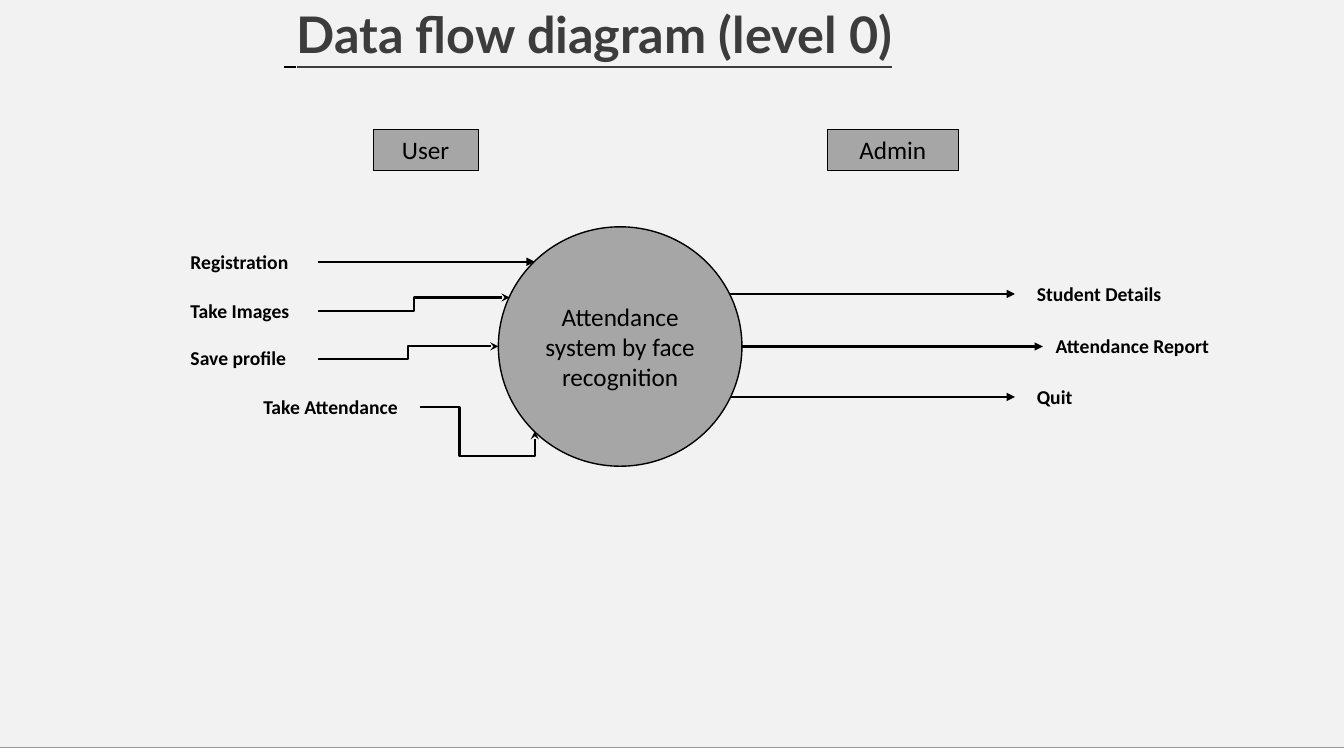
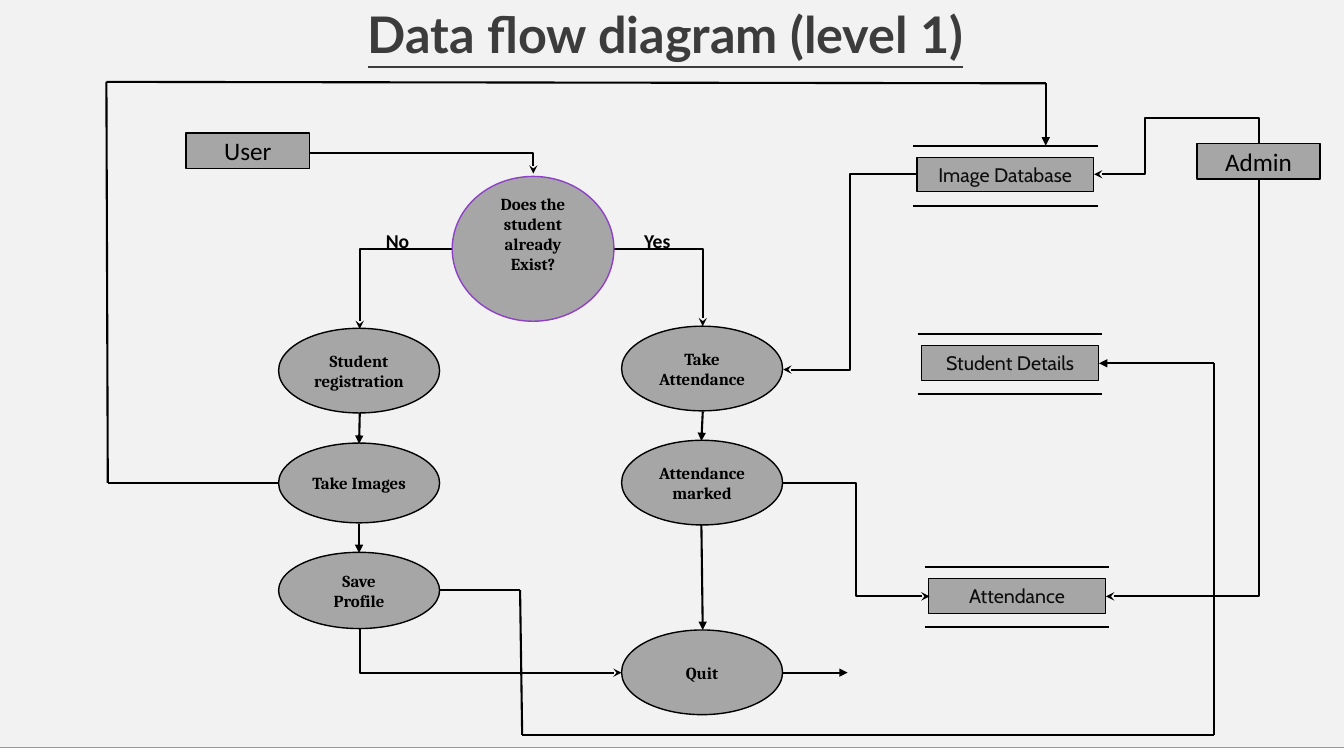
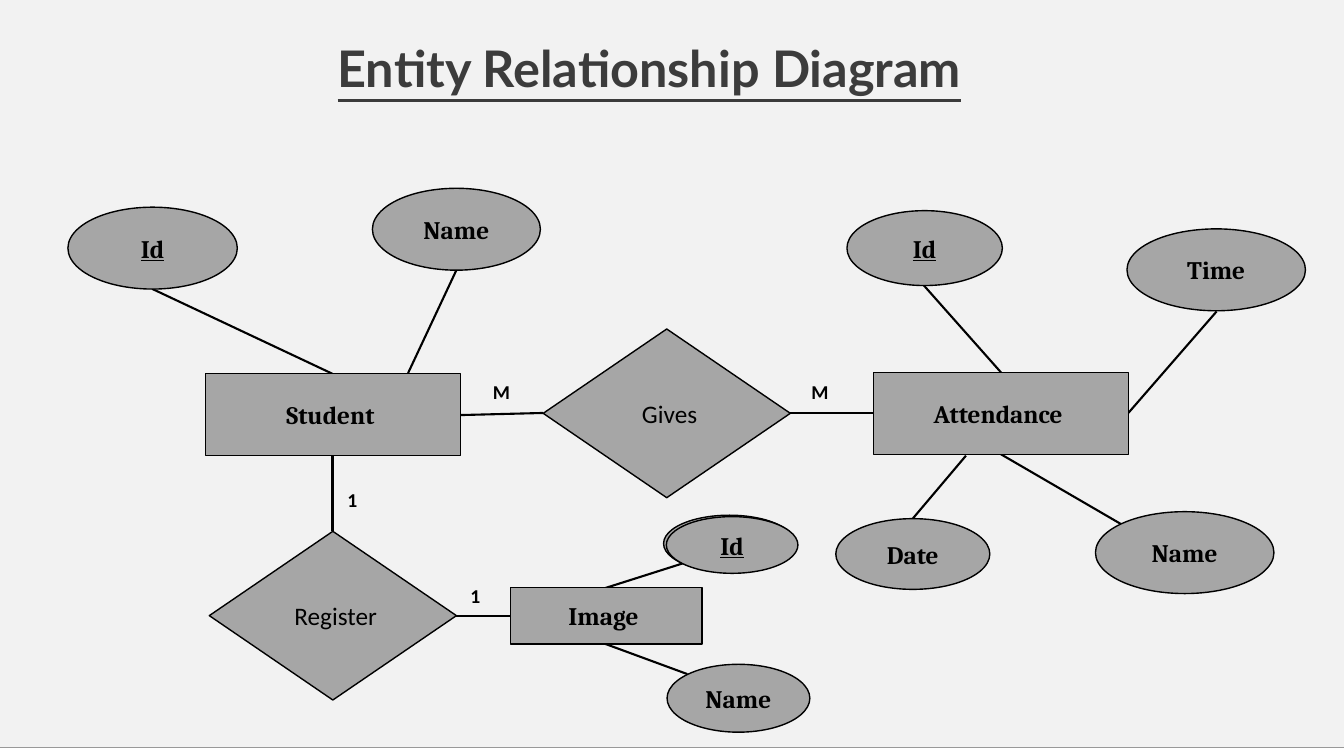
"""Build three slides of data flow and entity relationship diagrams."""
from itertools import pairwise

from lxml import etree
from pptx import Presentation
from pptx.dml.color import RGBColor
from pptx.enum.shapes import MSO_CONNECTOR, MSO_SHAPE
from pptx.enum.text import MSO_ANCHOR, PP_ALIGN
from pptx.oxml.ns import qn
from pptx.util import Pt

RECT, OVAL, DIAMOND = MSO_SHAPE.RECTANGLE, MSO_SHAPE.OVAL, MSO_SHAPE.DIAMOND
STRAIGHT, ELBOW = MSO_CONNECTOR.STRAIGHT, MSO_CONNECTOR.ELBOW
LEFT, CENTER = PP_ALIGN.LEFT, PP_ALIGN.CENTER
TOP, MIDDLE = MSO_ANCHOR.TOP, MSO_ANCHOR.MIDDLE

COLORS = {
    "page": "F2F2F2",
    "band": "FFFFFF",
    "rule": "999999",
    "title": "3C3C3C",
    "node": "A6A6A6",
    "ink": "000000",
    "soft": "0D0D0D",
    "accent": "8E40C8",
}
STYLES = {
    "title": {"name": "Lato", "size": Pt(36), "bold": True, "underline": True},
    "label": {"name": "Calibri", "size": Pt(14), "bold": True},
    "plain": {"name": "Calibri", "size": Pt(18)},
    "store": {"name": "Cabin", "size": Pt(14)},
    "step": {"name": "Cambria", "size": Pt(12), "bold": True},
    "entity": {"name": "Cambria", "size": Pt(18), "bold": True},
    "key": {"name": "Cambria", "size": Pt(18), "bold": True, "underline": True},
}


def color(name):
    return RGBColor.from_string(COLORS[name])


def points(*values):
    return [Pt(value) for value in values]


def add_span(para, text, style, ink="ink"):
    span = para.add_run()
    span.text = text
    for field, value in STYLES[style].items():
        setattr(span.font, field, value)
    span.font.color.rgb = color(ink)


def write(box, text, style, ink="ink", align=CENTER, anchor=MIDDLE):
    frame = box.text_frame
    frame.word_wrap = True
    frame.vertical_anchor = anchor
    for index, line in enumerate(text.split("\n")):
        para = frame.add_paragraph() if index else frame.paragraphs[0]
        para.alignment = align
        add_span(para, line, style, ink)


def add_node(page, kind, place, text="", style="plain", ink="ink", outline="ink", width=1):
    node = page.shapes.add_shape(kind, *points(*place))
    node.shadow.inherit = False
    node.fill.solid()
    node.fill.fore_color.rgb = color("node")
    node.line.color.rgb = color(outline)
    node.line.width = Pt(width)
    if text:
        write(node, text, style, ink)
    return node


def add_label(page, text, left, top, width=130):
    box = page.shapes.add_textbox(*points(left, top, width, 24))
    write(box, text, "label", align=LEFT, anchor=TOP)


def add_title(page, text, left, top, width, align=LEFT, lead=""):
    box = page.shapes.add_textbox(*points(left, top, width, 51))
    box.text_frame.word_wrap = True
    para = box.text_frame.paragraphs[0]
    para.alignment = align
    if lead:
        add_span(para, lead, "title")
    add_span(para, text, "title", "title")


def add_line(page, start, end, arrow=None, kind=STRAIGHT, ink="ink", width=1.5):
    line = page.shapes.add_connector(kind, *points(*start, *end))
    line.line.color.rgb = color(ink)
    line.line.width = Pt(width)
    if arrow:
        place, head = arrow
        etree.SubElement(line.line._get_or_add_ln(), qn(f"a:{place}"), type=head)
    properties = line._element.spPr
    etree.SubElement(properties, qn("a:effectLst"))
    return line


def add_arrow(page, start, end):
    add_line(page, start, end, ("tailEnd", "triangle"))


def add_route(page, *stops):
    *legs, last = pairwise(stops)
    for start, end in legs:
        add_line(page, start, end)
    add_arrow(page, *last)


def add_elbow(page, start, end, bends=3, adjust=(), place="tailEnd"):
    line = add_line(page, start, end, (place, "stealth"), ELBOW)
    geometry = line._element.spPr.find(qn("a:prstGeom"))
    geometry.set("prst", f"bentConnector{bends}")
    guides = geometry.find(qn("a:avLst"))
    for number, share in enumerate(adjust, 1):
        formula = f"val {round(share * 100000)}"
        etree.SubElement(guides, qn("a:gd"), name=f"adj{number}", fmla=formula)


def add_store(page, text, left, top):
    for offset in (-8.5, 34.5):
        add_line(page, (left - 3, top + offset), (left + 129, top + offset))
    add_node(page, RECT, (left, top, 126, 24.5), text, "store", "soft", width=0.75)


def new_page(deck):
    page = deck.slides.add_slide(deck.slide_layouts[6])
    page.background.fill.solid()
    page.background.fill.fore_color.rgb = color("page")
    band = page.shapes.add_shape(RECT, *points(0, 534, 960, 6))
    band.shadow.inherit = False
    band.fill.solid()
    band.fill.fore_color.rgb = color("band")
    band.line.fill.background()
    add_line(page, (0, 534), (960, 534), ink="rule", width=0.5)
    return page


def build_level_zero(deck):
    page = new_page(deck)
    add_title(page, "Data flow diagram (level 0)", 196, -1, 559, lead=" ")
    add_elbow(page, (300, 291), (382, 308), 4, (0.344, 2.05))
    add_elbow(page, (227, 222), (364, 212.5))
    add_elbow(page, (227, 256.5), (356, 247.5))
    add_arrow(page, (227, 187), (382, 187))
    for start, end, y in ((521, 725, 210), (530, 745, 247.5), (521, 725, 283.5)):
        add_arrow(page, (start, y), (end, y))
    add_node(page, OVAL, (356, 162, 174, 171), "Attendance system by face recognition")
    for text, left, top in (
        ("Registration", 129, 175),
        ("Take Images", 129, 210),
        ("Save profile", 129, 243.5),
        ("Take Attendance", 181, 278.5),
        ("Student Details", 733.5, 198),
        ("Attendance Report", 747, 235),
        ("Quit", 733.5, 271.5),
    ):
        add_label(page, text, left, top)
    for text, left, width in (("User", 266.5, 75), ("Admin", 591, 93.5)):
        add_node(page, RECT, (left, 92.5, width, 29), text, width=0.75)


def build_level_one(deck):
    page = new_page(deck)
    add_title(page, "Data flow diagram (level 1)", 196, -1, 559, CENTER)
    for text, left, top in (("User", 133, 95), ("Admin", 855, 102.5)):
        add_node(page, RECT, (left, top, 88, 25.5), text)
    for text, left, top in (
        ("Image Database", 655, 112.5),
        ("Student Details", 658.5, 247),
        ("Attendance", 663.5, 413.5),
    ):
        add_store(page, text, left, top)

    add_route(page, (199, 345), (77, 345), (76, 58.5), (747, 59.5), (747, 104))
    add_route(page, (314, 421.5), (371.5, 421.5), (373, 525), (867, 525),
              (867, 259.5), (785, 259.5))
    for start, end in (
        ((257, 295), (256.5, 317)),
        ((256.5, 374), (256.5, 395)),
        ((502, 294), (501, 315)),
        ((501, 375), (502, 450)),
        ((559.5, 480.5), (605.5, 480.5)),
    ):
        add_arrow(page, start, end)
    add_elbow(page, (221, 109), (381, 124), 2)
    add_elbow(page, (323, 178), (257, 235), 2)
    add_elbow(page, (438, 178), (502, 233), 2)
    add_elbow(page, (655, 124.5), (559.5, 264))
    add_elbow(page, (559, 345), (664, 426))
    add_elbow(page, (444, 480.5), (257, 449), 2, place="headEnd")
    add_elbow(page, (790, 426), (899.5, 128), 2, place="headEnd")
    add_elbow(page, (781.5, 124.5), (899.5, 102.5), 4, (0.31, 1.82), "headEnd")

    for text, left, top, height in (
        ("Student\nregistration", 199, 234.5, 60.5),
        ("Take Images", 199, 316.5, 57),
        ("Save\nProfile", 199, 394.5, 54.5),
        ("Take\nAttendance", 444, 233, 60.5),
        ("Attendance\nmarked", 444, 314.5, 60.5),
        ("Quit", 444, 450, 60.5),
    ):
        add_node(page, OVAL, (left, top, 115, height), text, "step")
    question = add_node(page, OVAL, (323, 126, 115.5, 103.5),
                        "Does the student already\nExist?", "step", outline="accent")
    question.text_frame.margin_bottom = Pt(25)
    add_label(page, "No", 268.5, 160, 39)
    add_label(page, "Yes", 453, 160, 39)


def build_entities(deck):
    page = new_page(deck)
    add_title(page, "Entity Relationship Diagram", 234, 23, 491)
    for start, end in (
        ((291.5, 266.5), (326, 193)),
        ((237.5, 267), (109, 206.5)),
        ((715, 266), (660, 204)),
        ((801, 374.5), (715, 324.5)),
        ((564.5, 295), (624, 295)),
        ((329, 296.5), (388, 295)),
        ((651.5, 371), (690, 325.5)),
        ((806, 295), (869, 222.5)),
        ((326, 440), (364.5, 440)),
        ((237.5, 325.5), (237.5, 379.5)),
        ((432.5, 460), (491, 481.5)),
        ((432.5, 420), (487.5, 402.5)),
    ):
        add_line(page, start, end)
    for text, left, top in ((" Gives", 388, 235), (" Register", 149.5, 379.5)):
        add_node(page, DIAMOND, (left, top, 176.5, 120.5), text)
    for text, *place in (
        ("Student ", 147, 267, 182, 58.5),
        ("Attendance ", 624, 266, 182, 58.5),
        ("Image ", 364.5, 419.5, 137, 40.5),
    ):
        add_node(page, RECT, place, text, "entity")
    for text, *place in (
        ("Name", 266, 134.5, 120, 58.5),
        ("Id", 48.5, 148, 121, 58.5),
        ("Id", 605, 150.5, 111, 53.5),
        ("Time", 805, 163.5, 127.5, 58.5),
        ("Date", 597, 370.5, 110, 50.5),
        ("Name", 782.5, 365.5, 127.5, 58.5),
        ("Name", 476.5, 474.5, 102, 48.5),
        ("", 474, 368, 94, 40.5),
        ("Id", 476, 369, 94, 40.5),
    ):
        add_node(page, OVAL, place, text, "key" if text == "Id" else "entity")
    for text, left, top in (("M", 345, 268), ("M", 572.5, 268), ("1", 241, 345), ("1", 329, 413.5)):
        add_label(page, text, left, top, 102)


def main():
    deck = Presentation()
    deck.slide_width, deck.slide_height = points(960, 540)
    for build in (build_level_zero, build_level_one, build_entities):
        build(deck)
    deck.save("out.pptx")


if __name__ == "__main__":
    main()
